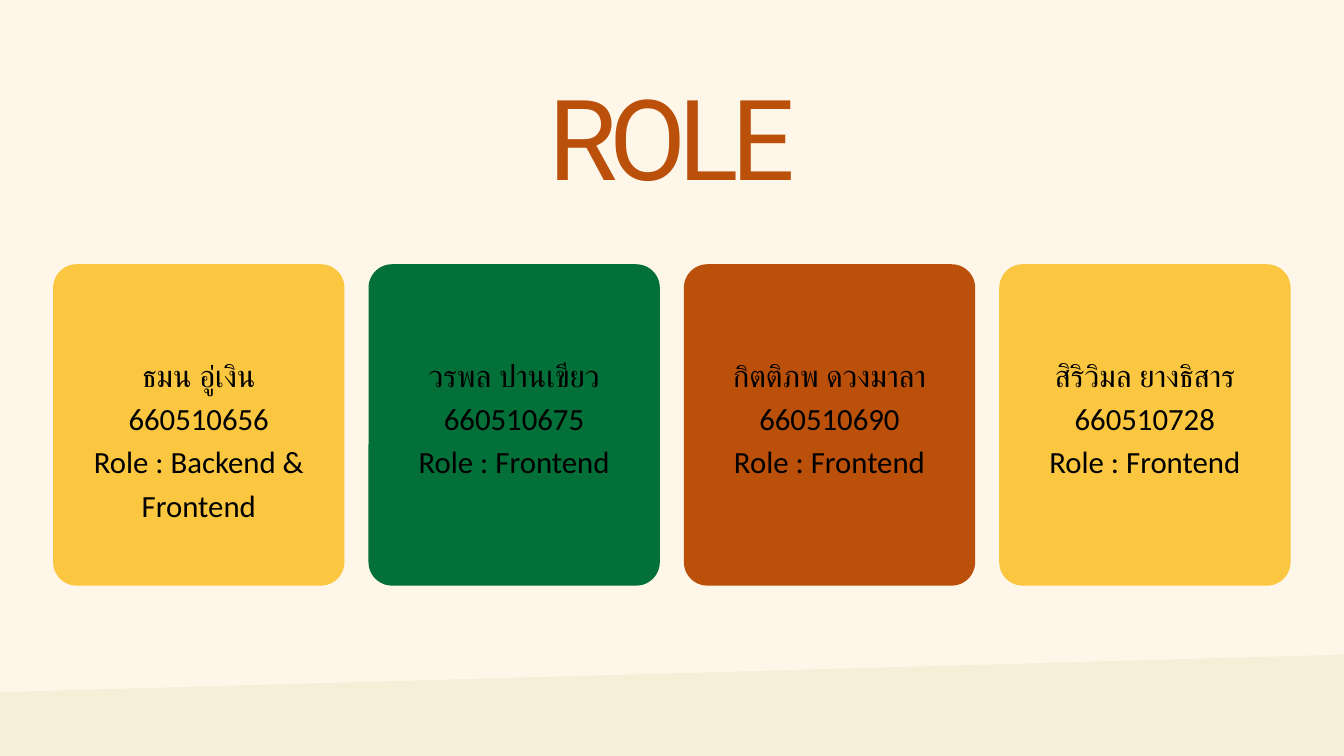
import pptx
import pptx.dml.color
import pptx.enum.shapes
import pptx.enum.text
import pptx.util

Cm = pptx.util.Cm
Pt = pptx.util.Pt
SHAPES = pptx.enum.shapes.MSO_SHAPE

CREAM, SAND = "FFF6EA", "F6EED6"
YELLOW, GREEN, RUST, BLACK = "FBC640", "027038", "BB500B", "000000"

TITLE = "ROLE"
MEMBERS = [
    (YELLOW, "ธมน อู่เงิน", "660510656", "Role : Backend & Frontend"),
    (GREEN, "วรพล ปานเขียว", "660510675", "Role : Frontend"),
    (RUST, "กิตติภพ ดวงมาลา", "660510690", "Role : Frontend"),
    (YELLOW, "สิริวิมล ยางธิสาร", "660510728", "Role : Frontend"),
]

# Card grid, in centimetres
CARD_LEFT, CARD_TOP, CARD_WIDTH, CARD_HEIGHT = 2.01, 9.99, 11.01, 12.15
CARD_STEP = 11.92
CARD_RADIUS = 0.89
TEXT_TOP, TEXT_HEIGHT = 9.3, 12.84
TEXT_INSET, NAME_OFFSET = 0.15, 3.96


def paint(fill, color):
    fill.solid()
    fill.fore_color.rgb = pptx.dml.color.RGBColor.from_string(color)


def add_block(slide, kind, box, color):
    """Add a flat shape without outline; box is left, top, width, height in cm."""
    block = slide.shapes.add_shape(kind, *map(Cm, box))
    block.shadow.inherit = False
    paint(block.fill, color)
    block.line.fill.background()
    return block


def add_text(slide, box, lines, font, size, color, spacing, inset=0, top_inset=0):
    frame = slide.shapes.add_textbox(*map(Cm, box)).text_frame
    frame.word_wrap = True
    frame.margin_left = frame.margin_right = frame.margin_bottom = Cm(inset)
    frame.margin_top = Cm(top_inset)
    frame.text = "\n".join(lines)
    for paragraph in frame.paragraphs:
        paragraph.alignment = pptx.enum.text.PP_ALIGN.CENTER
        paragraph.line_spacing = Pt(spacing)
        paragraph.font.name = font
        paragraph.font.size = Pt(size)
        paragraph.font.color.rgb = pptx.dml.color.RGBColor.from_string(color)
    return frame


deck = pptx.Presentation()
deck.slide_width, deck.slide_height = Cm(50.8), Cm(28.58)
slide = deck.slides.add_slide(deck.slide_layouts[6])
paint(slide.background.fill, CREAM)

for index, (color, *lines) in enumerate(MEMBERS):
    left = CARD_LEFT + index * CARD_STEP
    card = add_block(slide, SHAPES.ROUNDED_RECTANGLE,
                     (left, CARD_TOP, CARD_WIDTH, CARD_HEIGHT), color)
    card.adjustments[0] = CARD_RADIUS / CARD_WIDTH
    add_text(slide, (left, TEXT_TOP, CARD_WIDTH, TEXT_HEIGHT), lines,
             "Calibri", 33, BLACK, 46.2, TEXT_INSET, NAME_OFFSET)

title = add_text(slide, (16.05, 3.2, 18.67, 4.72), [TITLE], "Roboto", 120, RUST, 127.2)
title.paragraphs[0].runs[0].font._element.set("spc", "-840")

ground = add_block(slide, SHAPES.RECTANGLE, (-2.24, 25.45, 56.06, 8.59), SAND)
ground.rotation = -1.6

deck.save("out.pptx")
